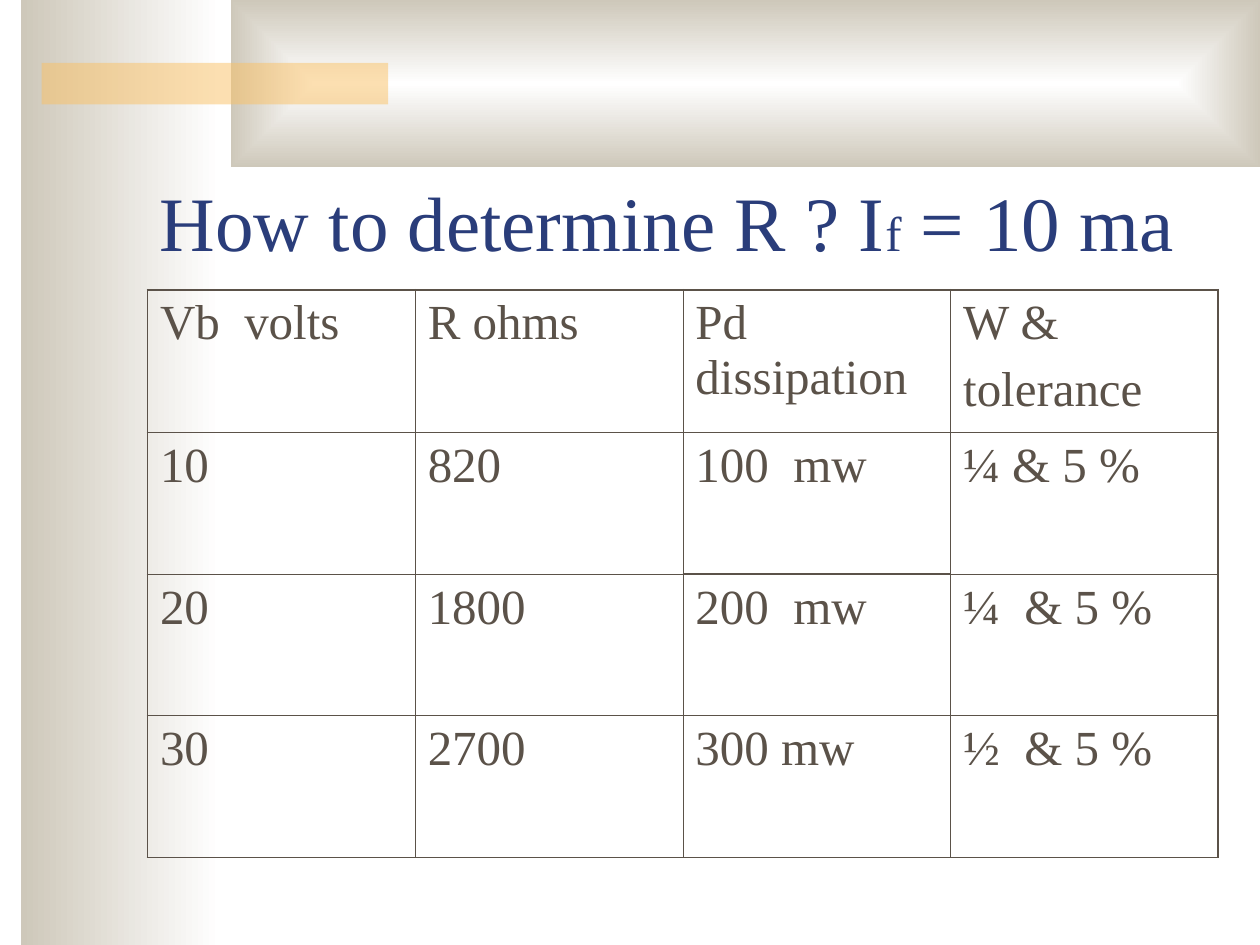
"""Build a slide with a table of resistor values for a 10 ma current."""
from lxml import etree
from pptx import Presentation
from pptx import util as u
from pptx.dml.color import RGBColor
from pptx.enum import shapes, text
from pptx.oxml import ns

WIDE, HIGH = 10, 7.5
FONT = "Times New Roman"
HUES = {"white": "FFFFFF", "sand": "CEC8BA", "gold": "FAC164",
        "navy": "2A3D7A", "brown": "5B5249"}
TITLE = [("How to determine R ? I", 44), ("f", 28), (" = 10 ma", 44)]
ROWS = [
    ["Vb  volts", "R ohms", "Pd dissipation", "W &\ntolerance"],
    ["10", "820", "100  mw", "¼ & 5 %"],
    ["20", "1800", "200  mw", "¼  & 5 %"],
    ["30", "2700", "300 mw", "½  & 5 %"],
]
BANDS = {
    "side": (0.17, 0, 1.58, HIGH),
    "top": (1.83, 0, 8.17, 1.33),
    "bar": (0.33, 0.5, 2.75, 0.33),
}
HEAD = (1.17, 0.92, 8.5, 1.25)
GRID = (1.17, 2.3, 8.5, 4.5)
THIN, THICK = 0.45, 1.08
HEAVY = {(1, 2, "B")}


def hue(name):
    return RGBColor.from_string(HUES[name])


def place(box):
    return [u.Inches(n) for n in box]


def sub(node, tag, **attrs):
    return etree.SubElement(node, ns.qn(tag), **attrs)


def band(slide, name):
    shape = slide.shapes.add_shape(shapes.MSO_SHAPE.RECTANGLE, *place(BANDS[name]))
    shape.shadow.inherit = False
    shape.line.fill.background()
    return shape


def fade(shape):
    shape.fill.gradient()
    shape.fill.gradient_angle = 180
    for stop, name in zip(shape.fill.gradient_stops, ("white", "sand")):
        stop.color.rgb = hue(name)


def center(shape):
    line = shape._element.spPr.find(".//" + ns.qn("a:lin"))
    grad = line.getparent()
    grad.remove(line)
    ring = sub(grad, "a:path", path="rect")
    sub(ring, "a:fillToRect", **dict.fromkeys("ltrb", "50000"))


def border(cell, row, col):
    last = len(ROWS) - 1, len(ROWS[0]) - 1
    edges = {"L": col == 0, "R": col == last[1], "T": row == 0, "B": row == last[0]}
    props = cell._tc.get_or_add_tcPr()
    for spot, (side, outer) in enumerate(edges.items()):
        size = THICK if outer or (row, col, side) in HEAVY else THIN
        line = etree.Element(ns.qn("a:ln" + side), w=str(u.Pt(size)))
        sub(sub(line, "a:solidFill"), "a:srgbClr", val=HUES["brown"])
        props.insert(spot, line)


def write(cell, words):
    cell.text = words
    for spot, para in enumerate(cell.text_frame.paragraphs):
        para.space_before = u.Pt(7 if spot else 0)
        para.font.size, para.font.name = u.Pt(28), FONT
        para.font.color.rgb = hue("brown")


def title(slide):
    frame = slide.shapes.add_textbox(*place(HEAD)).text_frame
    frame.word_wrap = True
    frame.vertical_anchor = text.MSO_ANCHOR.BOTTOM
    para = frame.paragraphs[0]
    para.font.name = FONT
    para.font.color.rgb = hue("navy")
    for words, size in TITLE:
        run = para.add_run()
        run.text, run.font.size = words, u.Pt(size)


def table(slide):
    grid = slide.shapes.add_table(len(ROWS), len(ROWS[0]), *place(GRID)).table
    grid.first_row = grid.horz_banding = False
    for row, line in enumerate(ROWS):
        for col, words in enumerate(line):
            cell = grid.cell(row, col)
            cell.fill.background()
            write(cell, words)
            border(cell, row, col)


def main():
    deck = Presentation()
    deck.slide_width, deck.slide_height = place((WIDE, HIGH))
    slide = deck.slides.add_slide(deck.slide_layouts[6])
    fade(band(slide, "side"))
    top = band(slide, "top")
    fade(top)
    center(top)
    bar = band(slide, "bar")
    bar.fill.solid()
    bar.fill.fore_color.rgb = hue("gold")
    tint = bar._element.spPr.find(".//" + ns.qn("a:srgbClr"))
    sub(tint, "a:alpha", val="50000")
    title(slide)
    table(slide)
    deck.save("out.pptx")


if __name__ == "__main__":
    main()
